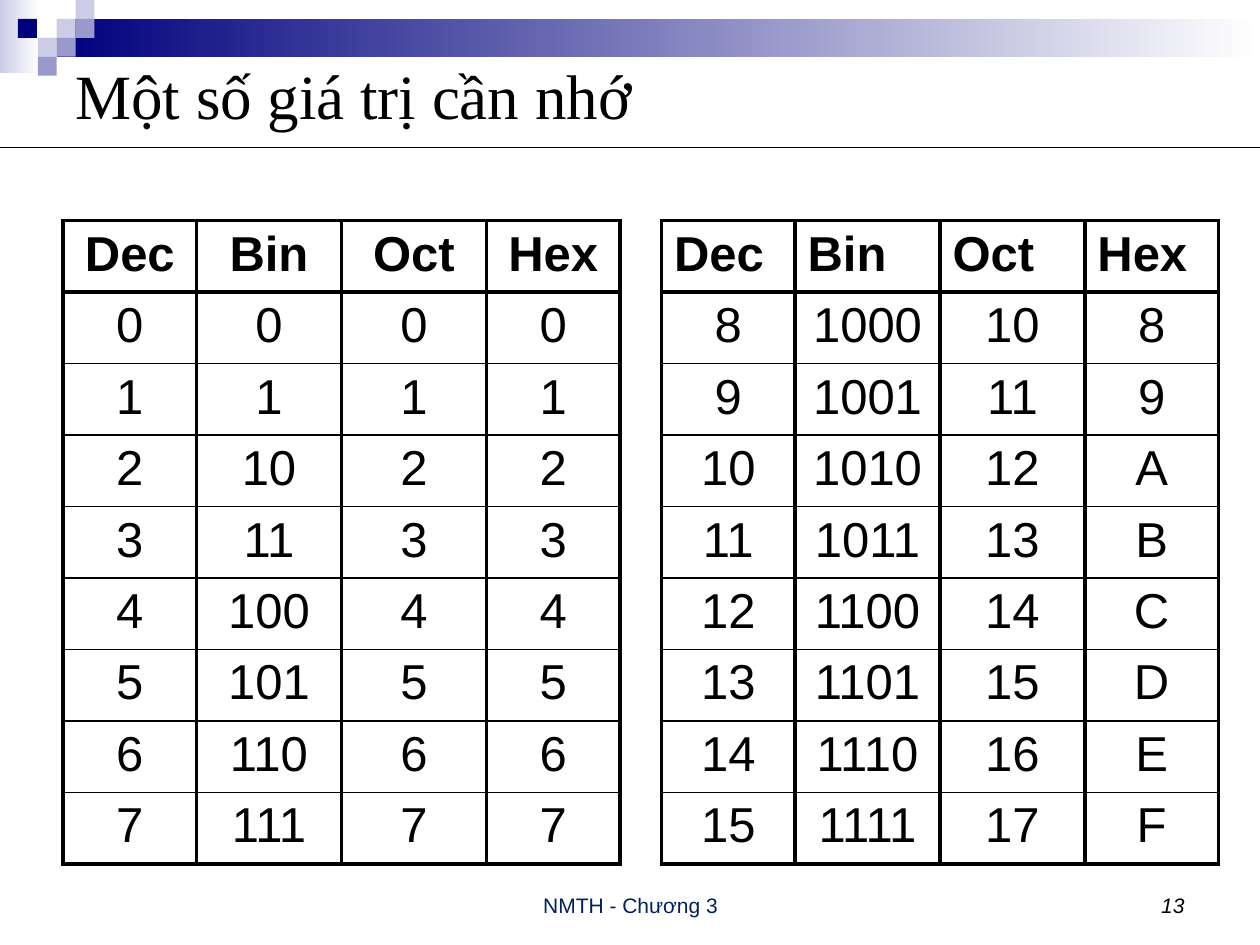
from dataclasses import dataclass

from lxml import etree
from pptx import Presentation
from pptx.dml.color import RGBColor
from pptx.enum import shapes, text
from pptx.oxml import ns
from pptx.util import Inches, Pt


@dataclass(frozen=True)
class Theme:
    """Colours, fonts, type sizes and line widths of the slide."""
    navy: str = "00007D"
    mid: str = "9999CC"
    pale: str = "CCCCE6"
    white: str = "FFFFFF"
    ink: str = "000000"
    footer: str = "002060"
    serif: str = "Times New Roman"
    sans: str = "Arial"
    title_size: int = 36
    table_size: int = 28
    footer_size: int = 12
    thick: float = 2.25
    thin: float = 1
    rule: float = 0.75


T = Theme()
ALIGN = text.PP_ALIGN
ANCHOR = text.MSO_ANCHOR


def write(tf, words, color=T.ink, align=ALIGN.LEFT, **fmt):
    """Write one formatted paragraph into a text frame."""
    p = tf.paragraphs[0]
    p.alignment = align
    r = p.add_run()
    r.text = words
    for name, value in fmt.items():
        setattr(r.font, name, value)
    r.font.color.rgb = RGBColor.from_string(color)


def add_label(s, box, words, anchor, **fmt):
    """Place a wrapping text box in the given box."""
    tf = s.shapes.add_textbox(*map(Inches, box)).text_frame
    tf.word_wrap = True
    tf.vertical_anchor = anchor
    write(tf, words, **fmt)


def add_block(s, box, *colors):
    """Place a borderless rectangle, solid or fading between two colours."""
    sp = s.shapes.add_shape(shapes.MSO_SHAPE.RECTANGLE, *map(Inches, box))
    sp.shadow.inherit = False
    sp.line.fill.background()
    if len(colors) == 1:
        sp.fill.solid()
        sp.fill.fore_color.rgb = RGBColor.from_string(colors[0])
        return
    sp.fill.gradient()
    sp.fill.gradient_angle = 0
    for stop, color in zip(sp.fill.gradient_stops, colors):
        stop.color.rgb = RGBColor.from_string(color)


def add_banner(s, left, top, width):
    """Draw the fading bands and the mosaic of squares at the top."""
    side = 0.15
    add_block(s, (left, top, 0.31, 0.58), T.pale, T.white)
    add_block(s, (left + 3 * side, top + side, width - 3 * side, 2 * side), T.navy, T.white)
    mosaic = [(3, 1, T.pale), (4, 0, T.pale), (4, 1, T.mid), (2, 2, T.pale),
              (0.95, 1, T.navy), (3, 2, T.mid), (2, 3, T.mid)]
    for col, row, color in mosaic:
        add_block(s, (left + col * side, top + row * side, side, side), color)


def add_rule(s, left, top, width):
    """Draw the horizontal rule under the title."""
    c = s.shapes.add_connector(shapes.MSO_CONNECTOR.STRAIGHT,
                               *map(Inches, (left, top, left + width, top)))
    c.line.width = Pt(T.rule)
    c.line.color.rgb = RGBColor.from_string(T.ink)
    etree.SubElement(c._element.spPr, ns.qn("a:effectLst"))


def set_borders(cell, **widths):
    """Give a cell solid borders of the given widths, by side."""
    tcPr = cell._tc.get_or_add_tcPr()
    for side, width in widths.items():
        ln = etree.SubElement(tcPr, ns.qn(f"a:ln{side}"), w=str(Pt(width)))
        fill = etree.SubElement(ln, ns.qn("a:solidFill"))
        etree.SubElement(fill, ns.qn("a:srgbClr"), val=T.ink)


def add_number_table(s, box, numbers, head_align):
    """Tabulate numbers in decimal, binary, octal and hexadecimal."""
    rows = [("Dec", "Bin", "Oct", "Hex")]
    rows += [[format(n, base) for base in "dboX"] for n in numbers]
    last = len(rows) - 1
    tbl = s.shapes.add_table(len(rows), 4, *map(Inches, box)).table
    tbl.first_row = tbl.horz_banding = False
    for col, width in zip(tbl.columns, (1.06, 1.15, 1.15, 1.06)):
        col.width = Inches(width)
    for i, row in enumerate(rows):
        for j, words in enumerate(row):
            cell = tbl.cell(i, j)
            set_borders(cell, L=T.thick, R=T.thick,
                        T=T.thick if i <= 1 else T.thin,
                        B=T.thick if i in (0, last) else T.thin)
            cell.fill.background()
            write(cell.text_frame, words, align=ALIGN.CENTER if i else head_align,
                  name=T.sans, size=Pt(T.table_size), bold=i == 0)


def add_footer(s, top, height):
    """Write the centred footer and the slide number."""
    fmt = {"name": T.sans, "size": Pt(T.footer_size)}
    add_label(s, (3.42, top, 3.17, height), "NMTH - Chương 3", ANCHOR.BOTTOM,
              color=T.footer, align=ALIGN.CENTER, **fmt)
    add_label(s, (7.17, top, 2.33, height), "13", ANCHOR.BOTTOM,
              align=ALIGN.RIGHT, italic=True, **fmt)


def main():
    """Build the slide and save it."""
    prs = Presentation()
    prs.slide_width, prs.slide_height = Inches(10), Inches(7.5)
    s = prs.slides.add_slide(prs.slide_layouts[6])
    add_banner(s, 0, 0, 10)
    add_label(s, (0.5, 0.5, 9, 0.5), "Một số giá trị cần nhớ", ANCHOR.MIDDLE,
              name=T.serif, size=Pt(T.title_size))
    add_rule(s, 0, 1.17, 10)
    add_number_table(s, (0.5, 1.75, 4.42, 5.1), range(8), ALIGN.CENTER)
    add_number_table(s, (5.25, 1.75, 4.42, 5.1), range(8, 16), ALIGN.LEFT)
    add_footer(s, 6.83, 0.5)
    prs.save("out.pptx")


if __name__ == "__main__":
    main()
